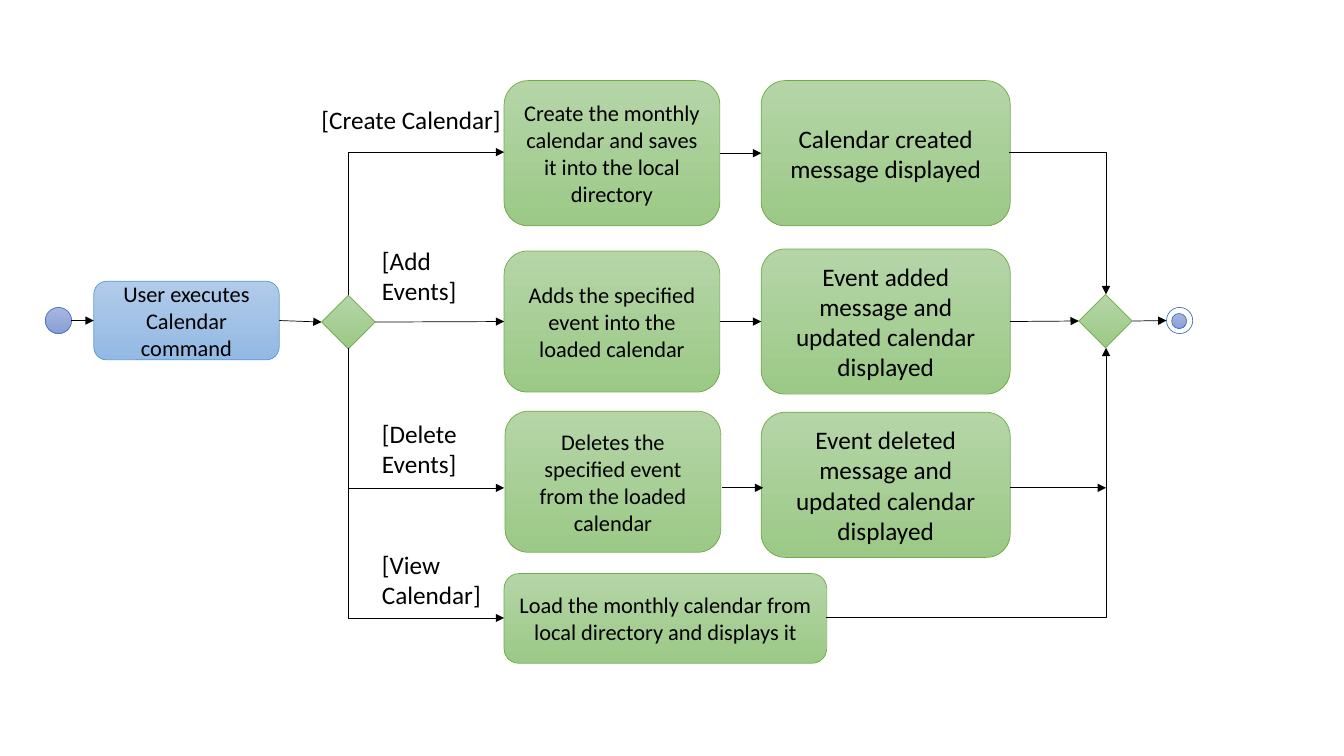
from dataclasses import dataclass
from lxml.etree import SubElement
from pptx import Presentation
from pptx.dml.color import RGBColor
from pptx.enum.shapes import MSO_CONNECTOR, MSO_SHAPE
from pptx.enum.text import MSO_ANCHOR, MSO_AUTO_SIZE, PP_ALIGN
from pptx.oxml.ns import qn
from pptx.util import Inches, Pt


@dataclass(frozen=True)
class Theme:
    """Colours as (top, bottom, outline), type sizes and line width."""
    font: str = "Calibri"
    ink: str = "000000"
    green: tuple = ("B5D5A7", "9CC987", "70AD47")
    blue: tuple = ("B1CBE9", "93B9E4", "5B9BD5")
    indigo: tuple = ("A8B7DF", "889ED7", "4472C4")
    white: tuple = ("FFFFFF", "FFFFFF", "4472C4")
    small: int = 16
    large: int = 18
    line: float = 0.5


THEME = Theme()
LEFT, RIGHT = 1, 3
FORK, JOIN = 3.46, 10.97
STEP, SHOW = 5, 7.55


def write(frame, text, size, align=PP_ALIGN.LEFT):
    """Fill a text frame, one paragraph for each line of text."""
    frame.word_wrap = True
    for i, line in enumerate(text.split("\n")):
        para = frame.add_paragraph() if i else frame.paragraphs[0]
        para.alignment = align
        run = para.add_run()
        run.text = line
        run.font.name = THEME.font
        run.font.size = Pt(size)
        run.font.color.rgb = RGBColor.from_string(THEME.ink)


def node(shapes, kind, box, tone, text="", size=THEME.small):
    """Add a shaded, outlined shape with optional centred text."""
    shape = shapes.add_shape(kind, *map(Inches, box))
    shape.shadow.inherit = False
    top, bottom, edge = map(RGBColor.from_string, tone)
    if top == bottom:
        shape.fill.solid()
        shape.fill.fore_color.rgb = top
    else:
        shape.fill.gradient()
        shape.fill.gradient_angle = 270
        for stop, shade in zip(shape.fill.gradient_stops, (top, bottom)):
            stop.color.rgb = shade
    shape.line.color.rgb = edge
    shape.line.width = Pt(THEME.line)
    if text:
        shape.text_frame.vertical_anchor = MSO_ANCHOR.MIDDLE
        write(shape.text_frame, text, size, PP_ALIGN.CENTER)
    return shape


def label(shapes, box, text):
    """Add the guard text of a branch."""
    area = shapes.add_textbox(*map(Inches, box))
    area.text_frame.auto_size = MSO_AUTO_SIZE.SHAPE_TO_FIT_TEXT
    write(area.text_frame, text, THEME.large)


def arrow(shapes, start, end, source=None, target=None, kind=MSO_CONNECTOR.STRAIGHT):
    """Add an arrow, joined to the side of a source or target if given."""
    link = shapes.add_connector(kind, *map(Inches, start + end))
    link.line.color.rgb = RGBColor.from_string(THEME.ink)
    link.line.width = Pt(THEME.line)
    SubElement(link.line._get_or_add_ln(), qn("a:tailEnd"), type="triangle")
    SubElement(link._element.spPr, qn("a:effectLst"))
    if source:
        link.begin_connect(source, RIGHT)
    if target:
        link.end_connect(target, LEFT)
    return link


def across(shapes, start, end):
    """Add a one-corner arrow that runs sideways first."""
    link = arrow(shapes, start, end, kind=MSO_CONNECTOR.ELBOW)
    link._element.spPr.find(qn("a:prstGeom")).set("prst", "bentConnector2")
    return link


def updown(shapes, start, end):
    """Add a one-corner arrow that runs up or down first, as a turned one."""
    (x1, y1), (x2, y2) = start, end
    mid_x, mid_y = (x1 + x2) / 2, (y1 + y2) / 2
    down = y2 > y1
    half_w = abs(y2 - y1) / 2
    half_h = (x2 - x1) / 2 * (1 if down else -1)
    link = across(shapes, (mid_x + half_w, mid_y - half_h),
                  (mid_x - half_w, mid_y + half_h))
    turn = 270 if down else 90
    link._element.spPr.find(qn("a:xfrm")).set("rot", str(turn * 60000))


def main():
    """Build the activity diagram of the calendar command."""
    deck = Presentation()
    deck.slide_width, deck.slide_height = Inches(13.33), Inches(7.5)
    shapes = deck.slides.add_slide(deck.slide_layouts[6]).shapes
    round_box, gem, disc = MSO_SHAPE.ROUNDED_RECTANGLE, MSO_SHAPE.DIAMOND, MSO_SHAPE.OVAL

    node(shapes, disc, (0.45, 3.05, 0.26, 0.26), THEME.indigo)
    user = node(shapes, round_box, (0.93, 2.79, 1.84, 0.78), THEME.blue,
                "User executes Calendar command")
    fork = node(shapes, gem, (3.19, 2.93, 0.53, 0.53), THEME.green)
    join = node(shapes, gem, (10.7, 2.92, 0.53, 0.53), THEME.green)
    final = shapes.add_group_shape().shapes
    node(final, disc, (11.57, 3.05, 0.26, 0.26), THEME.white)
    node(final, disc, (11.62, 3.11, 0.15, 0.15), THEME.indigo)

    steps = [
        ((STEP, 0.8, 2.14, 1.44),
         "Create the monthly calendar and saves it into the local directory"),
        ((STEP, 2.49, 2.14, 1.4), "Adds the specified event into the loaded calendar"),
        ((5.01, 4.08, 2.14, 1.4), "Deletes the specified event from the loaded calendar"),
        ((STEP, 5.69, 3.2, 0.89),
         "Load the monthly calendar from local directory and displays it"),
    ]
    make, add, *_ = [node(shapes, round_box, box, THEME.green, text) for box, text in steps]

    shows = [
        (0.8, "Calendar created message displayed"),
        (2.47, "Event added message and updated calendar displayed"),
        (4.09, "Event deleted message and updated calendar displayed"),
    ]
    made, added, _ = [node(shapes, round_box, (SHOW, top, 2.47, 1.44), THEME.green,
                           text, THEME.large) for top, text in shows]

    guards = [
        ((3.09, 0.99, 2.12, 0.4), "[Create Calendar]"),
        ((3.69, 2.38, 1.21, 0.71), "[Add Events]"),
        ((3.69, 4.1, 1.4, 0.71), "[Delete\nEvents]"),
        ((3.69, 5.4, 1.4, 0.71), "[View Calendar]"),
    ]
    for box, text in guards:
        label(shapes, box, text)

    arrow(shapes, (0.7, 3.18), (0.93, 3.18), target=user)
    arrow(shapes, (2.77, 3.18), (3.19, 3.19), user, fork)
    arrow(shapes, (3.72, 3.19), (STEP, 3.19), fork, add)
    arrow(shapes, (7.14, 1.52), (SHOW, 1.52), make, made)
    arrow(shapes, (7.14, 3.19), (SHOW, 3.19), add, added)
    arrow(shapes, (10.02, 3.19), (10.7, 3.18), added, join)
    arrow(shapes, (11.23, 3.18), (11.57, 3.18), join)
    arrow(shapes, (7.16, 4.84), (7.57, 4.84))
    arrow(shapes, (10.02, 4.84), (JOIN, 4.84))

    for start, end in ((2.93, 1.51), (3.45, 4.84), (4.74, 6.13)):
        updown(shapes, (FORK, start), (STEP, end))
    across(shapes, (10.01, 1.51), (JOIN, 2.92))
    across(shapes, (8.19, 6.13), (JOIN, 3.45))

    deck.save("out.pptx")


if __name__ == "__main__":
    main()
